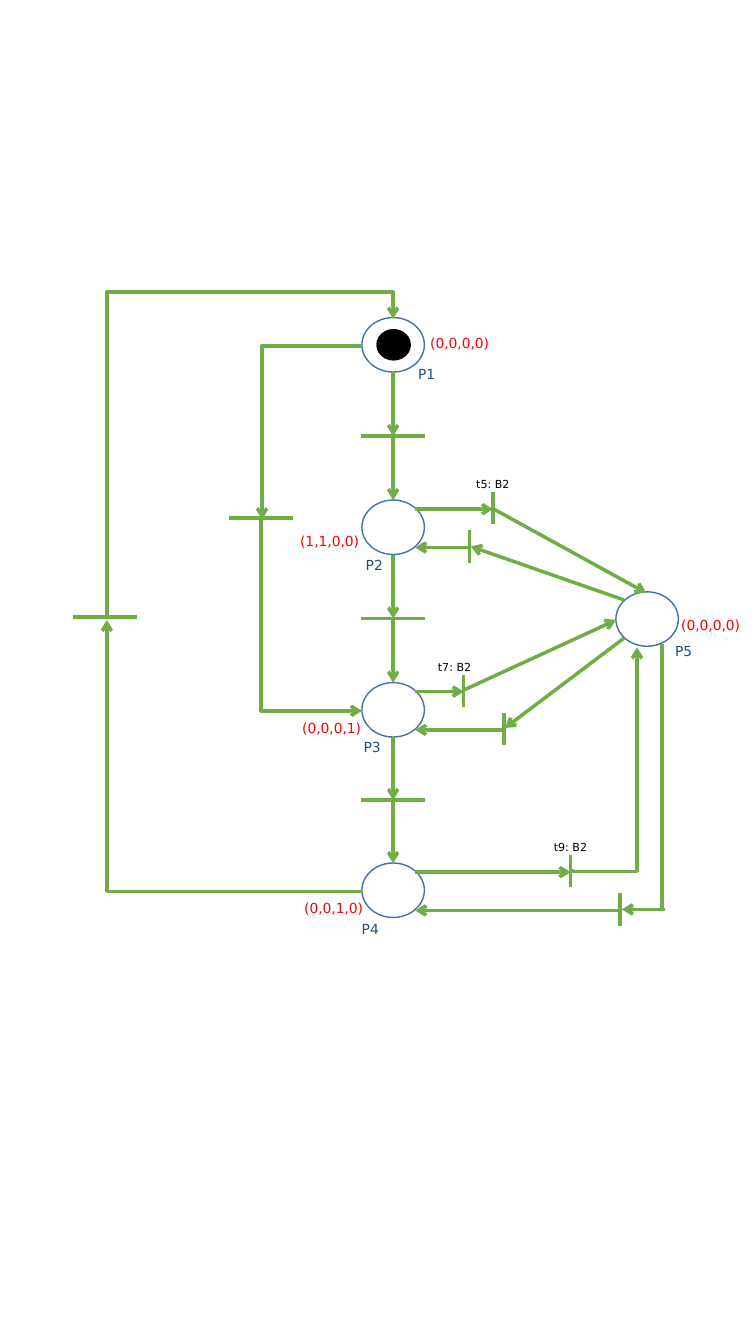
from lxml import etree
from pptx import Presentation
from pptx import util as u
from pptx.dml import color
from pptx.enum import shapes, text
from pptx.oxml import ns

COLORS = {"arc": "70AD47", "place": "43739E", "name": "1F4E79",
          "marking": "FF0000", "event": "000000", "token": "000000"}
PLACE_WIDTH, PLACE_HEIGHT = 0.62, 0.54
OUT_OFFSET, BACK_OFFSET = 0.09, 0.47  # arc heights below the top of a place
BAR_HALF = 0.16
STYLES = {
    "name": {"size": 9.9, "width": 0.39, "height": 0.27, "align": text.PP_ALIGN.LEFT},
    "marking": {"size": 9.9, "width": 0.9, "height": 0.27, "align": text.PP_ALIGN.CENTER},
    "event": {"size": 7.9, "width": 0.9, "height": 0.23, "align": text.PP_ALIGN.CENTER},
}


def rgb(name):
    return color.RGBColor.from_string(COLORS[name])


def add_label(slide, kind, left, top, wording):
    style = STYLES[kind]
    shape = slide.shapes.add_textbox(*map(u.Inches, (left, top, style["width"], style["height"])))
    shape.text_frame.word_wrap = True
    paragraph = shape.text_frame.paragraphs[0]
    paragraph.text = wording
    paragraph.alignment = style["align"]
    font = paragraph.runs[0].font
    for name, value in {"name": "DejaVu Sans", "size": u.Pt(style["size"])}.items():
        setattr(font, name, value)
    font.color.rgb = rgb(kind)


def add_ellipse(slide, left, top, width, height, line, fill=None):
    shape = slide.shapes.add_shape(shapes.MSO_SHAPE.OVAL,
                                   *map(u.Inches, (left, top, width, height)))
    shape.shadow.inherit = False
    if fill:
        shape.fill.solid()
        shape.fill.fore_color.rgb = rgb(fill)
    else:
        shape.fill.background()
    shape.line.color.rgb = rgb(line)
    shape.line.width = u.Pt(1)


def style_arc(connector, arrow):
    connector.line.color.rgb = rgb("arc")
    connector.line.width = u.Pt(2.5)
    properties = connector.element.spPr
    if arrow:
        etree.SubElement(properties.find(ns.qn("a:ln")), ns.qn("a:tailEnd"), type="arrow")
    etree.SubElement(properties, ns.qn("a:effectLst"))


def add_line(slide, start, end, arrow=True):
    connector = slide.shapes.add_connector(shapes.MSO_CONNECTOR.STRAIGHT,
                                           *map(u.Inches, (*start, *end)))
    style_arc(connector, arrow)


def add_bar(slide, x, y, horizontal=False):
    dx, dy = (2 * BAR_HALF, 0) if horizontal else (0, BAR_HALF)
    add_line(slide, (x - dx, y - dy), (x + dx, y + dy), arrow=False)


def add_elbow(slide, start, end, rotation, flip=False, bend=None):
    """Bent arc: one corner, or two when bend gives the middle leg's position."""
    width, height = abs(end[0] - start[0]), abs(end[1] - start[1])
    if rotation in (90, 270):
        width, height = height, width
    left = (start[0] + end[0] - width) / 2
    top = (start[1] + end[1] - height) / 2
    connector = slide.shapes.add_connector(
        shapes.MSO_CONNECTOR.ELBOW, *map(u.Inches, (left, top, left + width, top + height)))
    properties = connector.element.spPr
    frame = properties.find(ns.qn("a:xfrm"))
    frame.set("rot", str(rotation * 60000))
    if flip:
        frame.set("flipV", "1")
    geometry = properties.find(ns.qn("a:prstGeom"))
    if bend is None:
        geometry.set("prst", "bentConnector2")
    else:
        etree.SubElement(geometry.find(ns.qn("a:avLst")), ns.qn("a:gd"),
                         name="adj1", fmla=f"val {round(bend * 100000)}")
    style_arc(connector, arrow=True)


def add_main_column(slide, left, tops):
    """Places P1 to P4 and the transitions between them."""
    center = left + PLACE_WIDTH / 2
    for top in tops:
        add_ellipse(slide, left, top, PLACE_WIDTH, PLACE_HEIGHT, "place")
    add_ellipse(slide, left + 0.15, tops[0] + 0.12, 0.33, 0.3, "token", "token")
    for upper, lower in zip(tops, tops[1:]):
        bottom = upper + PLACE_HEIGHT
        middle = (bottom + lower) / 2
        add_line(slide, (center, bottom), (center, middle))
        add_bar(slide, center, middle, horizontal=True)
        add_line(slide, (center, middle), (center, lower))
    # Names and markings, offset from each place
    labels = [("P1", 0.46, 0.43, "(0,0,0,0)", 0.52, 0.12),
              ("P2", -0.06, 0.51, "(1,1,0,0)", -0.77, 0.27),
              ("P3", -0.08, 0.51, "(0,0,0,1)", -0.75, 0.32),
              ("P4", -0.1, 0.52, "(0,0,1,0)", -0.73, 0.31)]
    for top, (name, name_x, name_y, marking, mark_x, mark_y) in zip(tops, labels):
        add_label(slide, "name", left + name_x, top + name_y, name)
        add_label(slide, "marking", left + mark_x, top + mark_y, marking)


def add_left_loops(slide, left, tops):
    """Bypass from P1 to P3 and return from P4 to P1."""
    center = left + PLACE_WIDTH / 2
    first, third, fourth = (tops[i] + 0.28 for i in (0, 2, 3))
    bypass, back = left - 1, left - 2.53
    add_elbow(slide, (left, first), (bypass + 0.01, 5.15), 180, flip=True)
    add_bar(slide, bypass, 5.14, horizontal=True)
    add_elbow(slide, (bypass, 5.16), (left, third), 90, flip=True)
    add_elbow(slide, (left, fourth), (back, 6.15), 180)
    add_bar(slide, back - 0.02, 6.12, horizontal=True)
    add_elbow(slide, (back, 6.11), (center, tops[0] + 0.01), 270, bend=1.09)


def add_shared_place(slide, left, top):
    """Place P5 with its name and marking."""
    add_ellipse(slide, left, top, PLACE_WIDTH, PLACE_HEIGHT, "place")
    add_label(slide, "name", left + 0.49, top + 0.45, "P5")
    add_label(slide, "marking", left + 0.49, top + 0.2, "(0,0,0,0)")


def add_exchange(slide, left, top, event, label_center, out_x, back_x):
    """Arcs from a column place to its out bar, and from its back bar."""
    edge = left + 0.53
    out_y, back_y = top + OUT_OFFSET, top + BACK_OFFSET
    add_line(slide, (edge, out_y), (out_x, out_y))
    add_bar(slide, out_x, out_y - 0.01)
    add_line(slide, (back_x, back_y), (edge, back_y))
    add_bar(slide, back_x, back_y - 0.01)
    add_label(slide, "event", label_center - 0.45, top - 0.27, event)


def add_shared_arcs(slide, left, top):
    """Arcs between the event bars and P5."""
    add_line(slide, (4.9, 5.05), (left + 0.3, top + 0.01))
    add_line(slide, (left + 0.08, top + 0.08), (4.67, 5.42))
    add_line(slide, (4.61, 6.84), (left, top + 0.28))
    add_line(slide, (left + 0.08, top + 0.46), (5.01, 7.22))
    add_elbow(slide, (5.68, 8.62), (left + 0.21, top + 0.55), 270, bend=-0.01)
    add_line(slide, (left + 0.46, top + 0.52), (left + 0.46, 9.01), arrow=False)
    add_line(slide, (left + 0.49, 9.02), (6.17, 9.02))


def main():
    presentation = Presentation()
    presentation.slide_width = u.Inches(7.5)
    presentation.slide_height = u.Inches(13.33)
    slide = presentation.slides.add_slide(presentation.slide_layouts[6])

    column_left, column_tops = 3.59, [3.15, 4.96, 6.77, 8.56]
    shared = (6.11, 5.87)
    add_main_column(slide, column_left, column_tops)
    add_left_loops(slide, column_left, column_tops)
    add_shared_place(slide, *shared)
    exchanges = [("t5: B2", 4.89, 4.89, 4.66),
                 ("t7: B2", 4.51, 4.6, 5),
                 ("t9: B2", 5.66, 5.66, 6.15)]
    for top, exchange in zip(column_tops[1:], exchanges):
        add_exchange(slide, column_left, top, *exchange)
    add_shared_arcs(slide, *shared)
    presentation.save("out.pptx")


if __name__ == "__main__":
    main()
